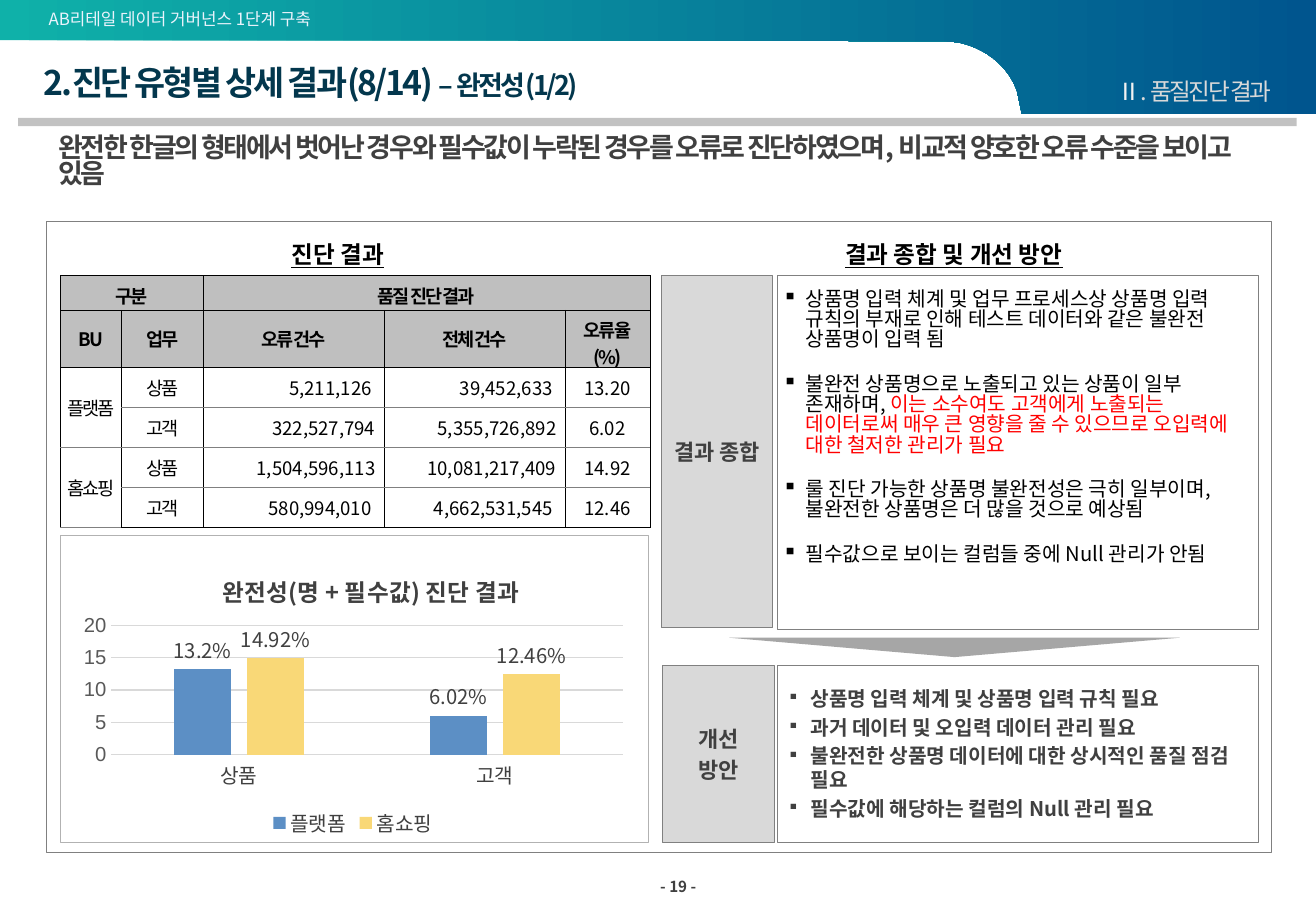
"""Build a data quality slide with a results table, a column chart and findings."""
from dataclasses import dataclass

from lxml import etree
from pptx import Presentation
from pptx.chart.data import CategoryChartData
from pptx.dml.color import RGBColor
from pptx.enum.chart import XL_CHART_TYPE, XL_LABEL_POSITION, XL_LEGEND_POSITION, XL_TICK_MARK
from pptx.enum.shapes import MSO_SHAPE
from pptx.enum.text import MSO_ANCHOR, PP_ALIGN
from pptx.oxml.ns import qn
from pptx.util import Pt

PX = 9144
RECT, WEDGE = MSO_SHAPE.RECTANGLE, MSO_SHAPE.ISOSCELES_TRIANGLE
TOP, MID, LOW = MSO_ANCHOR.TOP, MSO_ANCHOR.MIDDLE, MSO_ANCHOR.BOTTOM
LEFT, CENTER, RIGHT = PP_ALIGN.LEFT, PP_ALIGN.CENTER, PP_ALIGN.RIGHT
COLUMN = XL_CHART_TYPE.COLUMN_CLUSTERED
OUTSIDE, BOTTOM, NONE = XL_LABEL_POSITION.OUTSIDE_END, XL_LEGEND_POSITION.BOTTOM, XL_TICK_MARK.NONE


@dataclass(frozen=True)
class Theme:
    face: str = "Noto Sans CJK KR"
    plain: str = "Arial"
    teal: str = "0FB1A9"
    navy: str = "00558E"
    title: str = "03374D"
    ice: str = "EAF3FC"
    pale: str = "F2F2F2"
    white: str = "FFFFFF"
    black: str = "000000"
    dark: str = "404040"
    axis: str = "595959"
    edge: str = "808080"
    arrow: str = "A6A6A6"
    frame: str = "B2B2B2"
    head: str = "BFBFBF"
    bar: str = "C2C2C2"
    soft: str = "D9D9D9"
    red: str = "FF0000"
    blue: str = "5C8FC5"
    gold: str = "F9D877"
    page: int = 9
    small: int = 10
    cell: int = 11
    body: int = 12
    label: int = 13
    sub: int = 14
    lead: int = 16
    top: int = 20


T = Theme()
TABLE = [
    ["구분", "", "품질 진단 결과", "", ""],
    ["BU", "업무", "오류 건수", "전체 건수", "오류율(%)"],
    ["플랫폼", "상품", "5,211,126", "39,452,633", "13.20"],
    ["", "고객", "322,527,794", "5,355,726,892", "6.02"],
    ["홈쇼핑", "상품", "1,504,596,113", "10,081,217,409", "14.92"],
    ["", "고객", "580,994,010", "4,662,531,545", "12.46"],
]
MERGES = [(0, 0, 0, 1), (0, 2, 0, 4), (2, 0, 3, 0), (4, 0, 5, 0)]
FINDINGS = [
    ["상품명 입력 체계 및 업무 프로세스상 상품명 입력 규칙의 부재로 인해 테스트 데이터와 같은 불완전 상품명이 입력 됨"],
    ["불완전 상품명으로 노출되고 있는 상품이 일부 존재하며, ",
     "이는 소수여도 고객에게 노출되는 데이터로써 매우 큰 영향을 줄 수 있으므로 오입력에 대한 철저한 관리가 필요"],
    ["룰 진단 가능한 상품명 불완전성은 극히 일부이며, 불완전한 상품명은 더 많을 것으로 예상됨"],
    ["필수값으로 보이는 컬럼들 중에 Null 관리가 안됨"],
]
ACTIONS = ["상품명 입력 체계 및 상품명 입력 규칙 필요", "과거 데이터 및 오입력 데이터 관리 필요",
           "불완전한 상품명 데이터에 대한 상시적인 품질 점검 필요", "필수값에 해당하는 컬럼의 Null 관리 필요"]


def px(*vals):
    return [round(v * PX) for v in vals]


def rgb(tone):
    return RGBColor.from_string(tone)


def style(font, size, tone, gap=0, face=T.face, **form):
    form = {"size": Pt(size), "name": face, "bold": False, **form}
    for key, val in form.items():
        setattr(font, key, val)
    font.color.rgb = rgb(tone)
    node = font._element
    etree.SubElement(node, qn("a:ea")).set("typeface", face)
    if gap:
        node.set("spc", str(round(gap * 100)))


def bullet(para, size):
    props = para._p.get_or_add_pPr()
    for key, val in {"marL": 19, "indent": -19}.items():
        props.set(key, str(val * PX))
    etree.SubElement(props, qn("a:buSzPct")).set("val", str(size * 1000))
    etree.SubElement(props, qn("a:buChar")).set("char", "▪")


def write(frame, paras, anchor=TOP, ins=(10, 5), before=0, mark=0, **form):
    wide, high = px(*ins)
    room = {"word_wrap": True, "vertical_anchor": anchor, "margin_left": wide,
            "margin_right": wide, "margin_top": high, "margin_bottom": high}
    for key, val in room.items():
        setattr(frame, key, val)
    for num, runs in enumerate(paras):
        para = frame.add_paragraph() if num else frame.paragraphs[0]
        if mark:
            bullet(para, mark)
        if num and before:
            para.space_before = Pt(before)
        for key, val in form.items():
            setattr(para, key, val)
        for words, look in runs:
            run = para.add_run()
            run.text = words
            style(run.font, **look)


def label(slide, box, runs, **form):
    write(slide.shapes.add_textbox(*px(*box)).text_frame, [runs], **form)


def block(slide, box, fill=None, line=None, width=0.5, kind=RECT):
    shape = slide.shapes.add_shape(kind, *px(*box))
    shape.shadow.inherit = False
    for part, tone in ((shape.fill, fill), (shape.line.fill, line)):
        if tone:
            part.solid()
            part.fore_color.rgb = rgb(tone)
        else:
            part.background()
    if line:
        shape.line.width = Pt(width)
    return shape


def curve(a, b, c, d, steps=24):
    for num in range(steps + 1):
        t = num / steps
        u = 1 - t
        yield px(*(u**3 * p + 3 * u * u * t * q + 3 * u * t * t * r + t**3 * s
                   for p, q, r, s in zip(a, b, c, d)))


def banner(slide):
    pen = slide.shapes.build_freeform(0, 0, scale=1)
    arc = curve((837, 75), (830, 55), (812, 40), (789, 35))
    ends = [px(*dot) for dot in ((1083, 0), (1083, 94), (841, 94))]
    tail = [px(*dot) for dot in ((779, 34), (346, 33), (0, 33))]
    pen.add_line_segments([*ends, *arc, *tail], close=True)
    shape = pen.convert_to_shape()
    shape.shadow.inherit = False
    shape.line.fill.background()
    shape.fill.gradient()
    shape.fill.gradient_angle = 0
    for stop, tone, spot in zip(shape.fill.gradient_stops, (T.teal, T.navy), (0, 1)):
        stop.color.rgb = rgb(tone)
        stop.position = spot


def border(cell, row):
    tones = {"L": T.black, "R": T.black, "T": T.black if row <= 2 else T.edge,
             "B": T.black if row in (0, 1, 5) else T.edge}
    props = cell._tc.get_or_add_tcPr()
    for side, tone in tones.items():
        line = etree.SubElement(props, qn("a:ln" + side), w=str(Pt(0.5)))
        fill = etree.SubElement(line, qn("a:solidFill"))
        etree.SubElement(fill, qn("a:srgbClr"), val=tone)


def grid(slide):
    table = slide.shapes.add_table(6, 5, *px(50, 227, 484, 207)).table
    table.first_row = table.horz_banding = False
    for col, wide in zip(table.columns, px(50, 67, 149, 149, 70)):
        col.width = wide
    for row, high in zip(table.rows, px(27, 38, 33, 33, 33, 33)):
        row.height = high
    for top, left, low, right in MERGES:
        table.cell(top, left).merge(table.cell(low, right))
    for r, words in enumerate(TABLE):
        for c, word in enumerate(words):
            cell, head = table.cell(r, c), r < 2
            border(cell, r)
            if head:
                cell.fill.solid()
                cell.fill.fore_color.rgb = rgb(T.head)
            else:
                cell.fill.background()
            cell.vertical_anchor = MID
            if not word:
                continue
            number = not head and c > 1
            ins = (0, 0) if c == 0 and not head else (7, 0) if number and r in (3, 4) else (10, 5)
            look = {"size": T.cell, "tone": T.black, "bold": head, "gap": 0 if number else -1.2}
            wide, high = px(*ins)
            cell.margin_left = cell.margin_right = wide
            cell.margin_top = cell.margin_bottom = high
            para = cell.text_frame.paragraphs[0]
            para.alignment = RIGHT if number and c < 4 else CENTER
            run = para.add_run()
            run.text = word
            style(run.font, **look)


def place(node, spot, **vals):
    old = node.find(qn("c:layout"))
    if old is not None:
        node.remove(old)
    outer = etree.Element(qn("c:layout"))
    inner = etree.SubElement(outer, qn("c:manualLayout"))
    for key, val in vals.items():
        etree.SubElement(inner, qn("c:" + key)).set("val", str(val))
    node.insert(spot, outer)


def graph(slide):
    data = CategoryChartData()
    data.categories = ["상품", "고객"]
    data.add_series("플랫폼", (13.2, 6.02))
    data.add_series("홈쇼핑", (14.92, 12.46))
    chart = slide.shapes.add_chart(COLUMN, *px(59, 452, 463, 242), data).chart
    style(chart.font, T.small, T.black, face=T.plain)
    run = chart.chart_title.text_frame.paragraphs[0].add_run()
    run.text = "완전성(명 + 필수값) 진단 결과"
    style(run.font, T.sub, T.dark, bold=True)
    place(chart.chart_title._element, 1, xMode="edge", yMode="edge", x=0.26, y=0.06)
    place(chart._chartSpace.chart.plotArea, 0, layoutTarget="inner", xMode="edge",
          yMode="edge", x=0.07, y=0.26, w=0.91, h=0.44)
    chart.has_legend = True
    chart.legend.position = BOTTOM
    chart.legend.include_in_layout = False
    style(chart.legend.font, T.body, T.dark)
    cats, vals = chart.category_axis, chart.value_axis
    for axis, tone, face in ((cats, T.dark, T.face), (vals, T.axis, T.plain)):
        axis.major_tick_mark = axis.minor_tick_mark = NONE
        style(axis.tick_labels.font, T.body, tone, face=face)
    for key, val in {"minimum_scale": 0, "maximum_scale": 20, "major_unit": 5}.items():
        setattr(vals, key, val)
    vals.format.line.fill.background()
    for line in (cats.format.line, vals.major_gridlines.format.line):
        line.color.rgb = rgb(T.soft)
        line.width = Pt(0.75)
    plot = chart.plots[0]
    for key, val in {"gap_width": 219, "overlap": -27, "vary_by_categories": False}.items():
        setattr(plot, key, val)
    for item, tone in zip(plot.series, (T.blue, T.gold)):
        item.format.fill.solid()
        item.format.fill.fore_color.rgb = rgb(tone)
        form = {"show_value": True, "position": OUTSIDE,
                "number_format": '0.##"%"', "number_format_is_linked": False}
        for key, val in form.items():
            setattr(item.data_labels, key, val)
        style(item.data_labels.font, T.body, T.dark)


def main():
    deck = Presentation()
    deck.slide_width, deck.slide_height = px(1083, 750)
    slide = deck.slides.add_slide(deck.slide_layouts[6])
    bold = {"size": T.label, "tone": T.dark, "bold": True}
    banner(slide)
    block(slide, (15, 97, 1052, 7), T.bar)
    label(slide, (40, 7, 322, 17), [("AB리테일 데이터 거버넌스 1단계 구축", {"size": T.small, "tone": T.ice})],
          anchor=MID, ins=(0, 0))
    label(slide, (528, 718, 53, 23), [("- 19 -", {**bold, "size": T.page})],
          anchor=MID, ins=(8, 4), alignment=RIGHT)
    title = {"size": T.top, "tone": T.title, "bold": True, "gap": -1.5}
    label(slide, (36, 55, 934, 30), [("2.진단 유형별 상세 결과(8/14) ", title),
          ("– 완전성(1/2)", {**title, "size": T.lead})], anchor=MID, ins=(0, 0), line_spacing=0.9)
    grid(slide)
    for left, words in ((160, "진단 결과"), (667, "결과 종합 및 개선 방안")):
        look = {"size": T.sub, "tone": T.black, "bold": True, "underline": True}
        label(slide, (left, 193, 236, 34), [(words, look)], alignment=CENTER)
    tones = (T.black, T.red)
    paras = [[(words, {"size": T.body, "tone": tone}) for words, tone in zip(runs, tones)]
             for runs in FINDINGS]
    write(block(slide, (640, 227, 396, 291), T.white, T.edge).text_frame, paras,
          ins=(4, 12), before=14.5, mark=100, alignment=LEFT, line_spacing=0.83)
    paras = [[(words, {**bold, "size": T.body})] for words in ACTIONS]
    write(block(slide, (640, 548, 396, 146), T.white, T.edge).text_frame, paras,
          anchor=MID, ins=(8, 12), before=3, mark=80, alignment=LEFT, line_spacing=0.97)
    for box, lines in (((544, 227, 92, 290), ["결과 종합"]), ((545, 548, 92, 146), ["개선", "방안"])):
        write(block(slide, box, T.soft, T.edge).text_frame, [[(words, bold)] for words in lines],
              anchor=MID, ins=(8, 4), before=3, alignment=CENTER, line_spacing=1.0)
    block(slide, (600, 525, 371, 16), T.arrow, kind=WEDGE).rotation = 180
    block(slide, (38, 182, 1008, 520), line=T.edge)
    lead = "완전한 한글의 형태에서 벗어난 경우와 필수값이 누락된 경우를 오류로 진단하였으며, 비교적 양호한 오류 수준을 보이고 있음"
    label(slide, (38, 107, 1008, 63), [(lead, {**bold, "size": T.lead, "gap": -1.3})], line_spacing=0.82)
    block(slide, (50, 441, 484, 253), T.white, T.frame, 0.75)
    graph(slide)
    part = {"size": T.sub, "tone": T.pale, "gap": -1.5}
    label(slide, (807, 63, 239, 24), [("Ⅱ", part), (". 품질진단 결과", {**part, "tone": T.soft})],
          anchor=LOW, ins=(0, 0), alignment=RIGHT)
    deck.save("out.pptx")


if __name__ == "__main__":
    main()
